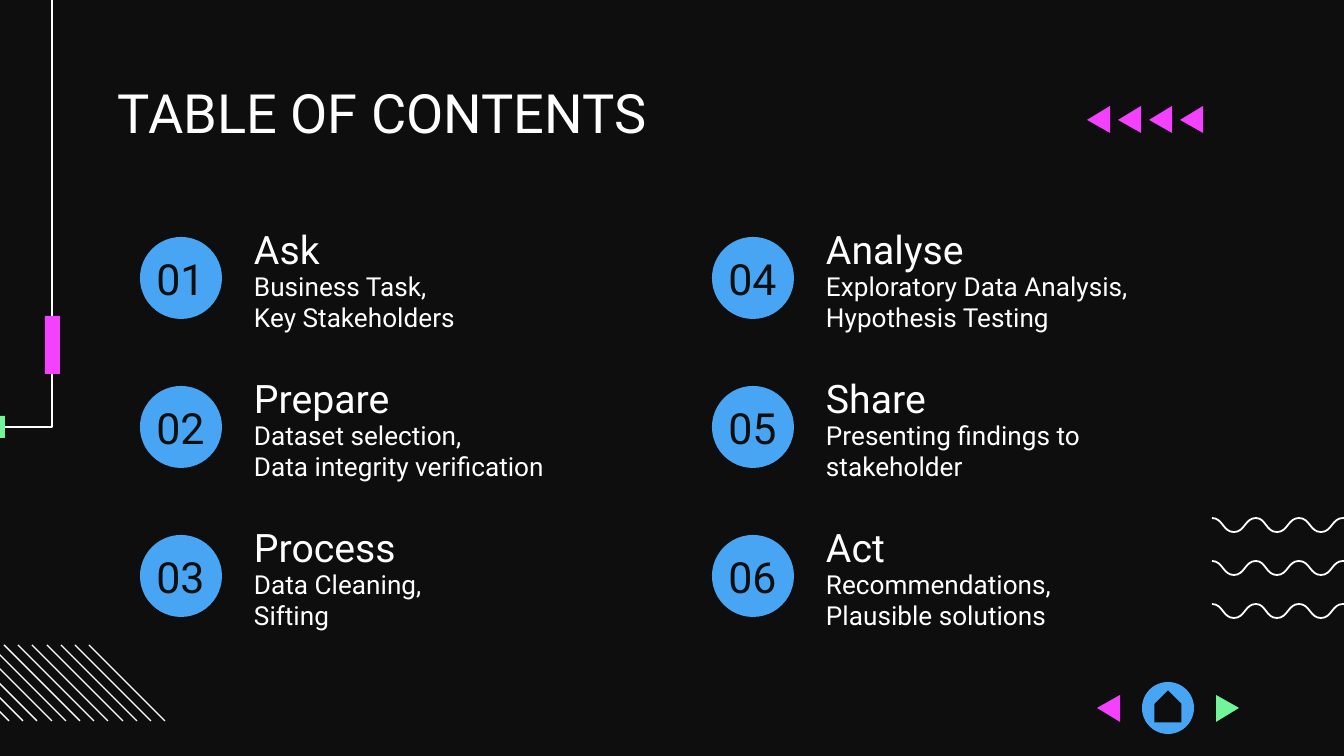
from lxml.etree import SubElement
from pptx import Presentation
from pptx.dml.color import RGBColor
from pptx.enum.shapes import MSO_SHAPE
from pptx.enum.text import MSO_ANCHOR, PP_ALIGN
from pptx.oxml.ns import qn
from pptx.util import Emu, Pt

TITLE = "TABLE OF CONTENTS"
COLUMNS = [
    [
        ("01", "Ask", ["Business Task,", "Key Stakeholders"]),
        ("02", "Prepare", ["Dataset selection,", "Data integrity verification"]),
        ("03", "Process", ["Data Cleaning,", "Sifting"]),
    ],
    [
        ("04", "Analyse", ["Exploratory Data Analysis,", "Hypothesis Testing"]),
        ("05", "Share", ["Presenting findings to stakeholder"]),
        ("06", "Act", ["Recommendations, Plausible solutions"]),
    ],
]


class Theme:
    font = "Roboto"
    dark = RGBColor(0x0E, 0x0E, 0x0E)
    white = RGBColor(0xFF, 0xFF, 0xFF)
    blue = RGBColor(0x47, 0xA5, 0xF3)
    pink = RGBColor(0xF3, 0x41, 0xFF)
    green = RGBColor(0x72, 0xF4, 0x9A)
    title_size, heading_size, number_size, body_size = 29, 21, 23, 14
    thin, wave = 0.75, 0.95


PX = 914400 / 134.4
INSET = 13
COLUMN_LEFT, COLUMN_STEP = 120, 572
ROW_TOP, ROW_STEP = 218, 149


def px(value):
    return Emu(round(value * PX))


def write(box, lines, size, color=Theme.white, align=PP_ALIGN.LEFT,
          top_inset=0, spacing=1.0, after=0):
    frame = box.text_frame
    frame.word_wrap = True
    frame.vertical_anchor = MSO_ANCHOR.TOP
    frame.margin_left = frame.margin_right = frame.margin_bottom = px(INSET)
    frame.margin_top = px(top_inset)
    for index, line in enumerate(lines):
        para = frame.paragraphs[0] if index == 0 else frame.add_paragraph()
        para.alignment = align
        para.line_spacing = spacing
        para.space_before, para.space_after = Pt(0), Pt(after)
        span = para.add_run()
        span.text = line
        span.font.name = Theme.font
        span.font.size = Pt(size)
        span.font.bold = False
        span.font.color.rgb = color


def add_text(page, place, lines, size, **style):
    box = page.shapes.add_textbox(*map(px, place))
    write(box, lines, size, **style)


def paint(shape, color):
    shape.shadow.inherit = False
    shape.fill.solid()
    shape.fill.fore_color.rgb = color
    shape.line.fill.background()


def add_solid(page, kind, place, color):
    shape = page.shapes.add_shape(kind, *map(px, place))
    paint(shape, color)
    return shape


def outline(page, points, close):
    builder = page.shapes.build_freeform(*points[0], scale=PX)
    builder.add_line_segments(points[1:], close=close)
    return builder.convert_to_shape()


def add_stroke(page, points, width):
    shape = outline(page, points, False)
    shape.shadow.inherit = False
    shape.fill.background()
    shape.line.color.rgb = Theme.white
    shape.line.width = Pt(width)
    return shape


def add_triangle(page, left, top, color, points_left=True):
    width, height = 23, 27
    base, tip = (left + width, left) if points_left else (left, left + width)
    points = [(base, top), (tip, top + height / 2), (base, top + height)]
    paint(outline(page, points, True), color)


def curve(shape):
    """Turn each three straight segments into one cubic Bézier segment."""
    path = next(shape.element.iter(qn("a:path")))
    segments = path.findall(qn("a:lnTo"))
    for start in range(0, len(segments), 3):
        cubic = SubElement(path, qn("a:cubicBezTo"))
        for segment in segments[start:start + 3]:
            cubic.append(segment[0])
            path.remove(segment)


def add_wave(page, top):
    left, half, height = 1212, 21.8, 14
    points = [(left, top)]
    for index in range(7):
        x = left + index * half
        before, after = (top, top + height) if index % 2 == 0 else (top + height, top)
        points += [(x + half / 2, before), (x + half / 2, after), (x + half, after)]
    curve(add_stroke(page, points, Theme.wave))


def add_background_art(page):
    for row in range(3):
        add_wave(page, 518 + 43 * row)
    for index in range(12):
        left = -67 + 14.2 * index
        add_stroke(page, [(left, 645), (left + 76, 721)], Theme.thin)
    add_stroke(page, [(-528, 427), (52, 427), (52, -30)], Theme.thin)
    add_solid(page, MSO_SHAPE.RECTANGLE, (-16, 416, 21, 22), Theme.green)
    add_solid(page, MSO_SHAPE.RECTANGLE, (45, 316, 15, 58), Theme.pink)


def add_entry(page, left, top, number, heading, lines):
    add_solid(page, MSO_SHAPE.OVAL, (left + 20, top + 19, 82, 82), Theme.blue)
    add_text(page, (left, top + 8, 121, 82), [number], Theme.number_size,
             color=Theme.dark, align=PP_ALIGN.CENTER, top_inset=27)
    add_text(page, (left + 121, top, 425, 52), [heading], Theme.heading_size,
             spacing=1.15, after=12)
    add_text(page, (left + 121, top + 52, 345, 81), lines, Theme.body_size)


def add_navigation(page):
    add_solid(page, MSO_SHAPE.OVAL, (1142, 682, 52, 52), Theme.blue)
    home = add_solid(page, MSO_SHAPE.PENTAGON, (1152, 693, 32, 27), Theme.dark)
    home.rotation = 270
    add_triangle(page, 1097, 695, Theme.pink)
    add_triangle(page, 1216, 695, Theme.green, points_left=False)


def main():
    deck = Presentation()
    deck.slide_width, deck.slide_height = px(1344), px(756)
    page = deck.slides.add_slide(deck.slide_layouts[5])
    page.background.fill.solid()
    page.background.fill.fore_color.rgb = Theme.dark

    add_background_art(page)
    title = page.shapes.title
    title.left, title.top, title.width, title.height = map(px, (105, 79, 1134, 62))
    write(title, [TITLE], Theme.title_size)
    for column, entries in enumerate(COLUMNS):
        for row, entry in enumerate(entries):
            add_entry(page, COLUMN_LEFT + column * COLUMN_STEP,
                      ROW_TOP + row * ROW_STEP, *entry)
    for index in range(4):
        add_triangle(page, 1087 + 31 * index, 106, Theme.pink)
    add_navigation(page)
    deck.save("out.pptx")


if __name__ == "__main__":
    main()
